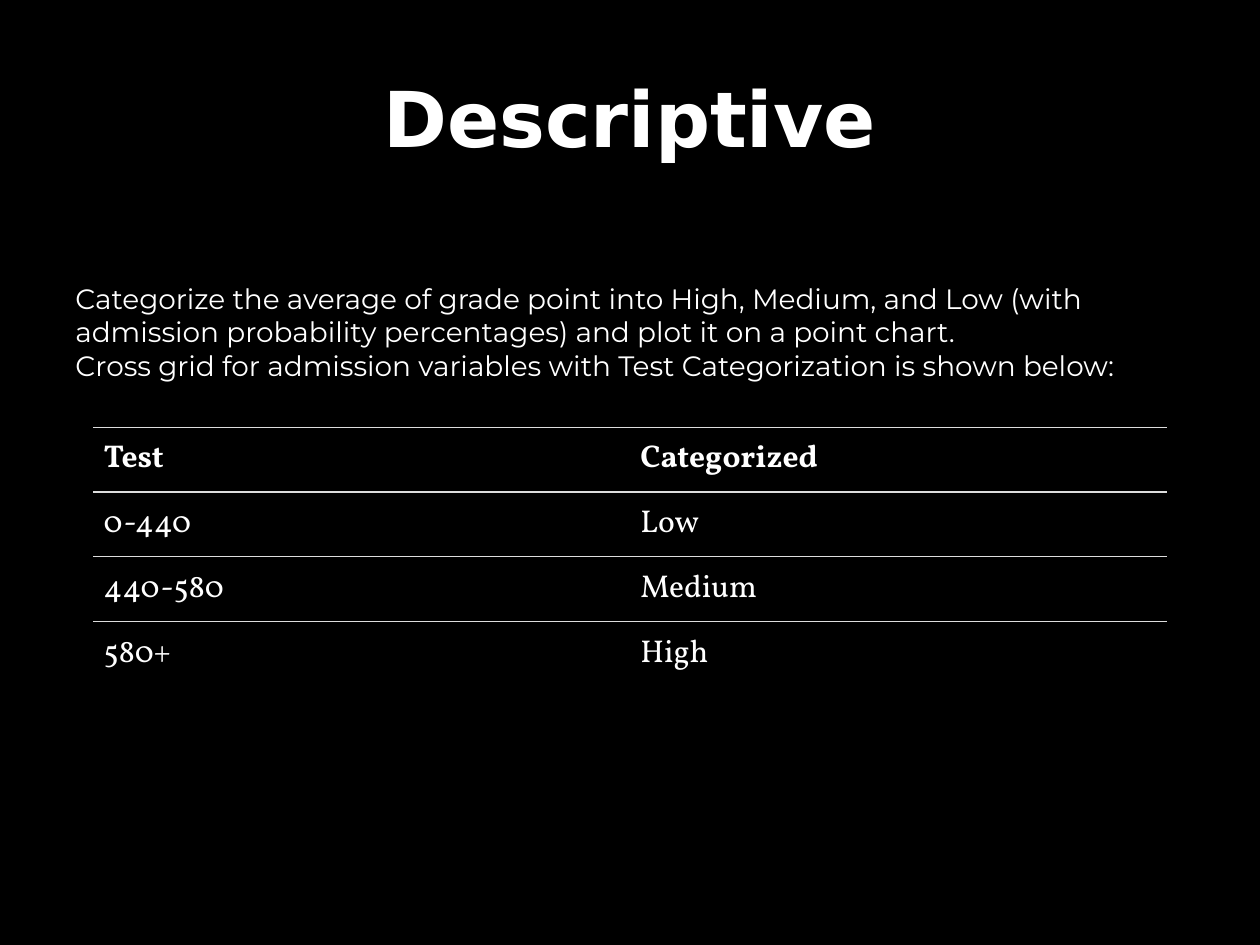
from lxml import etree
from pptx import Presentation
from pptx.dml.color import RGBColor
from pptx.enum import text
from pptx.oxml import ns
from pptx.util import Pt

WHITE = "FFFFFF"
GRID_GREY = "DDDDDD"
NO_STYLE_NO_GRID = "{2D5ABB26-0587-4C30-8999-92F81FD0307C}"

INTRO = [
    "Categorize the average of grade point into High, Medium, and Low (with "
    "admission probability percentages) and plot it on a point chart.",
    "Cross grid for admission variables with Test Categorization is shown below:",
]
SCORE_CATEGORIES = [
    ("Test", "Categorized"),
    ("0-440", "Low"),
    ("440-580", "Medium"),
    ("580+", "High"),
]


def rgb(hex_colour):
    return RGBColor.from_string(hex_colour)


def format_runs(frame, font, size, bold=False):
    for paragraph in frame.paragraphs:
        for run in paragraph.runs:
            run.font.name = font
            run.font.size = Pt(size)
            run.font.bold = bold
            run.font.color.rgb = rgb(WHITE)


def add_text(slide, content, left, top, width, height, font, size, bold=False):
    frame = slide.shapes.add_textbox(
        Pt(left), Pt(top), Pt(width), Pt(height)).text_frame
    frame.word_wrap = True
    frame.text = content
    format_runs(frame, font, size, bold)
    return frame


def add_top_border(cell, colour, width):
    properties = cell._tc.get_or_add_tcPr()
    line = etree.Element(ns.qn("a:lnT"), w=str(Pt(width)))
    fill = etree.SubElement(line, ns.qn("a:solidFill"))
    etree.SubElement(fill, ns.qn("a:srgbClr"), val=colour)
    properties.insert(0, line)


def add_ruled_table(slide, rows, left, top, width, row_height):
    table = slide.shapes.add_table(
        len(rows), len(rows[0]), Pt(left), Pt(top), Pt(width),
        Pt(row_height * len(rows))).table
    table.horz_banding = False
    table._tbl.tblPr.find(ns.qn("a:tableStyleId")).text = NO_STYLE_NO_GRID
    for row_index, row in enumerate(rows):
        for column_index, value in enumerate(row):
            cell = table.cell(row_index, column_index)
            cell.margin_left = cell.margin_right = Pt(6)
            cell.margin_top = cell.margin_bottom = Pt(6)
            cell.text_frame.text = value
            format_runs(cell.text_frame, "Vollkorn", 18, bold=row_index == 0)
            cell.fill.background()
            add_top_border(cell, GRID_GREY, 0.75)


def main():
    presentation = Presentation()
    presentation.slide_width, presentation.slide_height = Pt(720), Pt(540)
    slide = presentation.slides.add_slide(presentation.slide_layouts[6])
    slide.background.fill.solid()
    slide.background.fill.fore_color.rgb = rgb("000000")

    title = add_text(slide, "Descriptive", 36, 21.6, 648, 90,
                     "DejaVu Sans", 44, bold=True)
    title.vertical_anchor = text.MSO_ANCHOR.MIDDLE
    title.paragraphs[0].alignment = text.PP_ALIGN.CENTER

    add_ruled_table(slide, SCORE_CATEGORIES, 53.3, 244.1, 613.4, 37.1)

    intro = add_text(slide, "\n".join(INTRO), 36, 138.2, 642.2, 106.6,
                     "Montserrat", 16)
    intro.margin_top = Pt(22.5)

    presentation.save("out.pptx")


if __name__ == "__main__":
    main()
